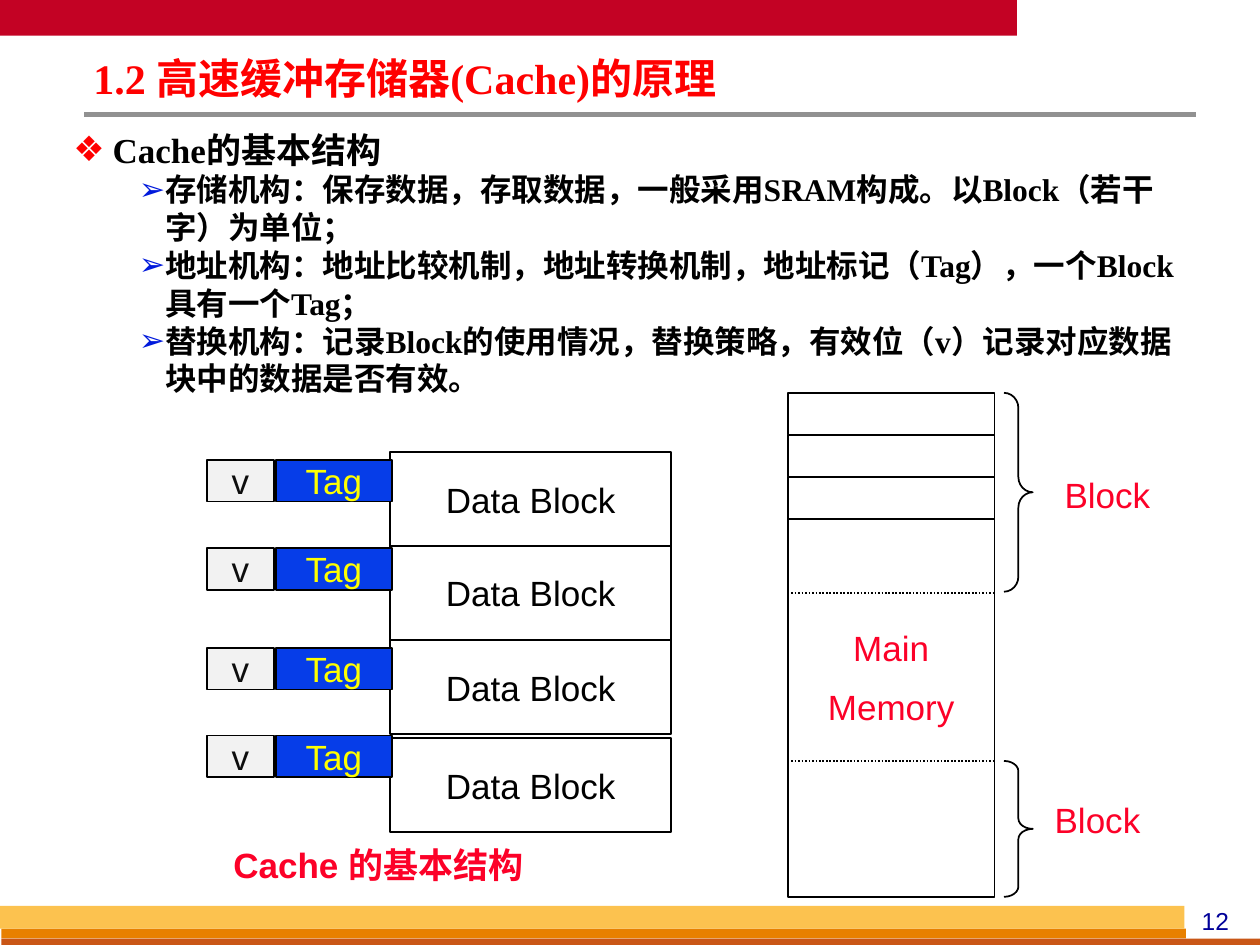
from lxml.etree import SubElement
from pptx import Presentation
from pptx.dml.color import RGBColor
from pptx.enum.dml import MSO_LINE
from pptx.enum.shapes import MSO_CONNECTOR, MSO_SHAPE
from pptx.enum.text import MSO_ANCHOR, PP_ALIGN
from pptx.oxml.ns import qn
from pptx.util import Cm, Pt


class Theme:
    sans, serif = "Arial", "Times New Roman"
    black, red, label = "000000", "FF0000", "FC0128"
    banner, rule, number = "C30224", "919191", "000099"
    gold, orange, rust = "FCC24F", "E88000", "C95616"
    arrow, tag, tag_text = "001ADC", "063DE8", "FFFF00"
    valid, valid_text = "F2F2F2", "0D0D0D"
    title_size, head_size, body_size, number_size = 24, 20, 18, 14


def add_text(p, text, size, color, font=Theme.sans, bold=False):
    r = p.add_run()
    r.text = text
    r.font.size, r.font.name, r.font.bold = Pt(size), font, bold
    r.font.color.rgb = RGBColor.from_string(color)


def add_box(shapes, kind, left, top, width, height, fill=None, line=None):
    sp = shapes.add_shape(kind, Cm(left), Cm(top), Cm(width), Cm(height))
    sp.shadow.inherit = False
    if fill:
        sp.fill.solid()
        sp.fill.fore_color.rgb = RGBColor.from_string(fill)
    else:
        sp.fill.background()
    if line:
        sp.line.color.rgb = RGBColor.from_string(line)
        sp.line.width = Pt(1)
    else:
        sp.line.fill.background()
    return sp


prs = Presentation()
prs.slide_width, prs.slide_height = Cm(25.4), Cm(19.05)
s = prs.slides.add_slide(prs.slide_layouts[5])

for left, top, width, height, fill in [
    (0, 0, 20.5, 0.72, Theme.banner),
    (0.03, 18.72, 23.88, 0.2, Theme.orange),
    (0.03, 18.92, 25.37, 0.13, Theme.rust),
    (0, 18.26, 23.88, 0.46, Theme.gold),
]:
    add_box(s.shapes, MSO_SHAPE.RECTANGLE, left, top, width, height, fill)

title = s.shapes.title
title.left, title.top, title.width, title.height = Cm(1.7), Cm(1.12), Cm(14.6), Cm(1.04)
body = s.shapes.add_textbox(Cm(1.3), Cm(2.51), Cm(22.86), Cm(5.61))
for sp in (title, body):
    tf = sp.text_frame
    tf.word_wrap = True
    tf.margin_left = tf.margin_right = Cm(0.18)
    tf.margin_top = tf.margin_bottom = Cm(0.08)

title.text_frame.vertical_anchor = MSO_ANCHOR.MIDDLE
p = title.text_frame.paragraphs[0]
p.alignment = PP_ALIGN.LEFT
p.line_spacing = 0.87
add_text(p, "1.2 高速缓冲存储器(Cache)的原理", Theme.title_size, Theme.red, Theme.serif, True)

for i, (level, text) in enumerate([
    (0, "Cache的基本结构"),
    (1, "存储机构：保存数据，存取数据，一般采用SRAM构成。以Block（若干字）为单位；"),
    (1, "地址机构：地址比较机制，地址转换机制，地址标记（Tag），一个Block具有一个Tag；"),
    (1, "替换机构：记录Block的使用情况，替换策略，有效位（v）记录对应数据块中的数据是否有效。"),
]):
    p = body.text_frame.add_paragraph() if i else body.text_frame.paragraphs[0]
    p.level = level
    margin, hang, char, color, size = [
        (0.79, 0.79, "❖", Theme.red, Theme.head_size),
        (1.85, 0.53, "➢", Theme.arrow, Theme.body_size),
    ][level]
    add_text(p, text, size, Theme.black, Theme.serif, True)
    pPr = p._p.get_or_add_pPr()
    pPr.set("marL", str(Cm(margin)))
    pPr.set("indent", str(-Cm(hang)))
    SubElement(SubElement(pPr, qn("a:buClr")), qn("a:srgbClr"), val=color)
    SubElement(pPr, qn("a:buFont"), typeface=Theme.sans)
    SubElement(pPr, qn("a:buChar"), char=char)

memory = s.shapes.add_group_shape().shapes
mem_left, mem_top, mem_width, word_step = 15.88, 7.92, 4.17, 0.85
for i, height in enumerate([0.84, 0.84, 0.84, 7.62]):
    add_box(memory, MSO_SHAPE.RECTANGLE, mem_left, mem_top + i * word_step,
            mem_width, height, line=Theme.black)
for top, height, curve in [(mem_top, 4.01, 0.53), (15.34, 2.74, 0.36)]:
    sp = add_box(memory, MSO_SHAPE.RIGHT_BRACE, 20.24, top, 0.58, height, line=Theme.black)
    sp.adjustments[0] = curve

mem_right = mem_left + mem_width
for shapes, x1, x2, y, color, width, dash in [
    (s.shapes, 1.7, 24.1, 2.31, Theme.rule, 3, None),
    (memory, mem_left, mem_right, 11.96, Theme.black, 1, MSO_LINE.ROUND_DOT),
    (memory, mem_left, mem_right, 15.34, Theme.black, 1, MSO_LINE.ROUND_DOT),
]:
    line = shapes.add_connector(MSO_CONNECTOR.STRAIGHT, Cm(x1), Cm(y), Cm(x2), Cm(y))
    line.line.color.rgb = RGBColor.from_string(color)
    line.line.width = Pt(width)
    line.line.dash_style = dash
    SubElement(line._element.spPr, qn("a:effectLst"))

for shapes, left, top, width, height, lines, size, color, bold in [
    (s.shapes, 23.7, 18.14, 1.6, 0.84, ["12"], Theme.number_size, Theme.number, False),
    (s.shapes, 3.96, 16.87, 7.34, 1.12, ["Cache 的基本结构"], Theme.head_size, Theme.label, True),
    (memory, 21.03, 9.42, 2.59, 1.12, ["Block"], Theme.head_size, Theme.label, False),
    (memory, 20.83, 15.98, 2.59, 1.12, ["Block"], Theme.head_size, Theme.label, False),
    (memory, mem_left, 12.5, mem_width, 2.39, ["Main", "Memory"], Theme.head_size, Theme.label, False),
]:
    tf = shapes.add_textbox(Cm(left), Cm(top), Cm(width), Cm(height)).text_frame
    tf.word_wrap = True
    for i, text in enumerate(lines):
        p = tf.add_paragraph() if i else tf.paragraphs[0]
        p.alignment = PP_ALIGN.CENTER
        if i:
            p.space_before = Pt(size / 2)
        add_text(p, text, size, color, bold=bold)

cache = s.shapes.add_group_shape().shapes
block_tops = [9.12, 11, 12.9, 14.88]
tag_tops = [9.27, 11.05, 13.06, 14.83]
for text, left, tops, width, height, fill, color in [
    ("Data Block", 7.87, block_tops, 5.66, 1.9, None, Theme.black),
    ("Tag", 5.56, tag_tops, 2.34, 0.84, Theme.tag, Theme.tag_text),
    ("v", 4.17, tag_tops, 1.35, 0.84, Theme.valid, Theme.valid_text),
]:
    for top in tops:
        sp = add_box(cache, MSO_SHAPE.RECTANGLE, left, top, width, height, fill, Theme.black)
        tf = sp.text_frame
        tf.word_wrap = False
        tf.vertical_anchor = MSO_ANCHOR.MIDDLE
        p = tf.paragraphs[0]
        p.alignment = PP_ALIGN.CENTER
        add_text(p, text, Theme.head_size, color)

prs.save("out.pptx")
